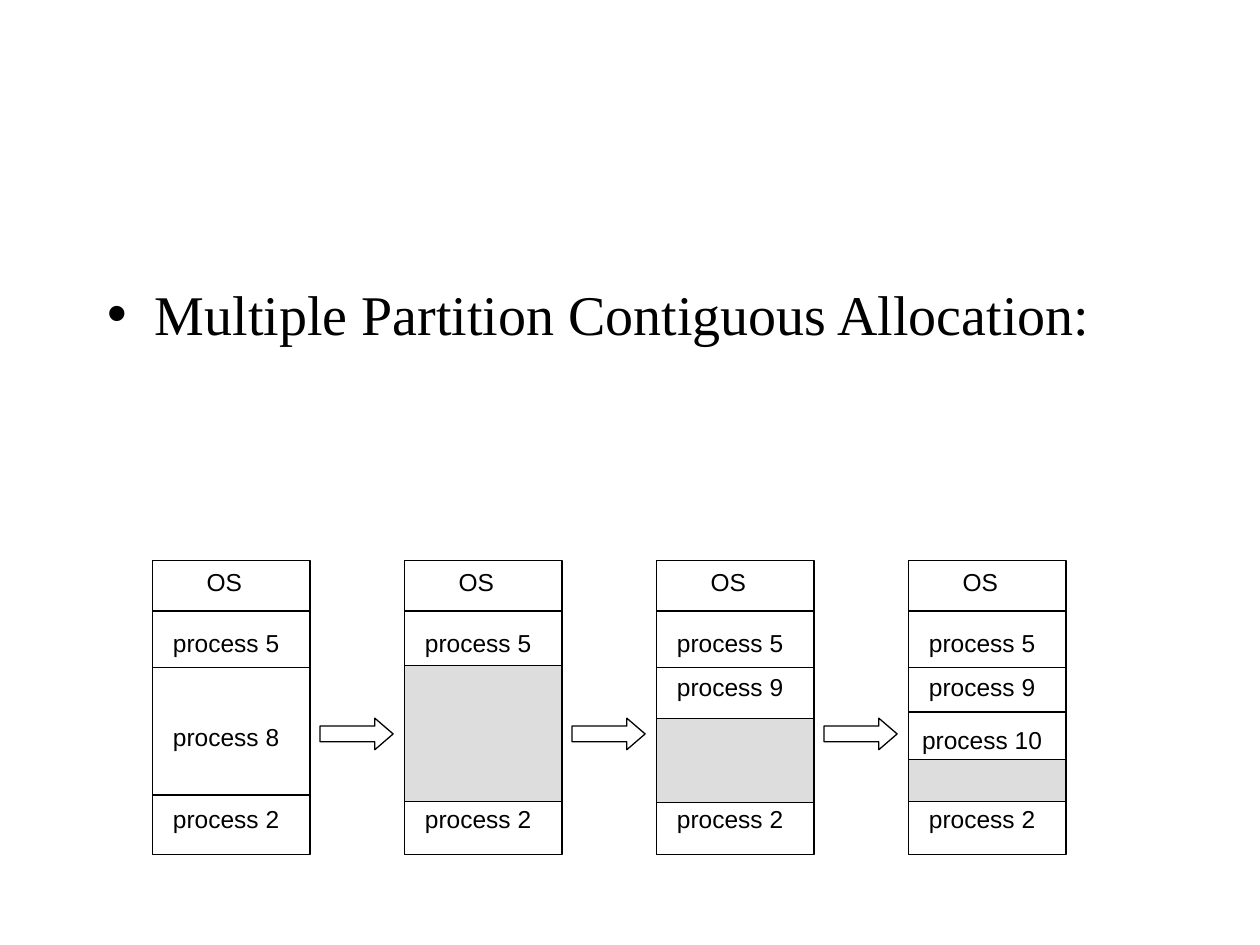
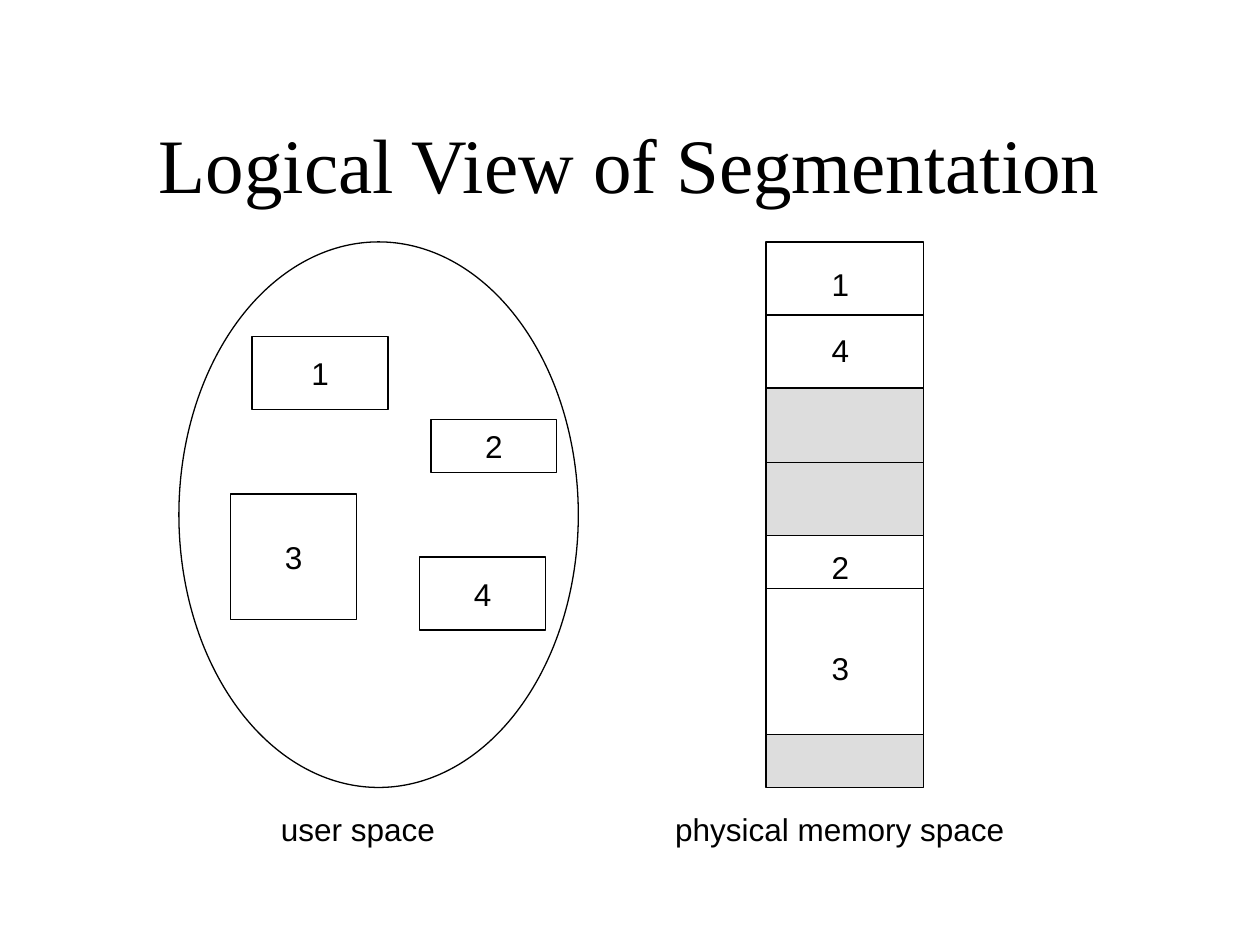
from lxml import etree
from pptx import Presentation
from pptx.dml.color import RGBColor
from pptx.enum.shapes import MSO_CONNECTOR, MSO_SHAPE
from pptx.enum.text import MSO_ANCHOR, MSO_AUTO_SIZE, PP_ALIGN
from pptx.oxml.ns import qn
from pptx.util import Inches, Pt

RECT, OVAL, ARROW = MSO_SHAPE.RECTANGLE, MSO_SHAPE.OVAL, MSO_SHAPE.RIGHT_ARROW
LINE = MSO_CONNECTOR.STRAIGHT
CENTER, MIDDLE = PP_ALIGN.CENTER, MSO_ANCHOR.MIDDLE
FIXED = MSO_AUTO_SIZE.NONE

COLORS = {"ink": "000000", "paper": "FFFFFF", "free": "DDDDDD"}
SERIF, SANS = "Times New Roman", "Arial"

HEADING = "Multiple Partition Contiguous Allocation:"
TITLE = "Logical View of Segmentation"

COL_LEFT, COL_TOP, COL_WIDE, COL_TALL, COL_STEP = 1.21, 4.45, 1.25, 2.33, 2
SHARED = [("process 5", 4.93), ("process 2", 6.33)]
STAGES = [
    {"cuts": [4.85, 5.3, 6.31], "jobs": [("process 8", 5.68)], "free": None},
    {"cuts": [4.85], "jobs": [], "free": (5.28, 1.08)},
    {"cuts": [4.85, 5.3], "jobs": [("process 9", 5.28)], "free": (5.7, 0.67)},
    {"cuts": [4.85, 5.3, 5.65],
     "jobs": [("process 9", 5.28), ("process 10", 5.7)], "free": (6.03, 0.33)},
]

PARTS = [
    ("1", 2, 2.67, 1.08, 0.58),
    ("3", 1.83, 3.92, 1, 1),
    ("2", 3.42, 3.33, 1, 0.42),
    ("4", 3.33, 4.42, 1, 0.58),
]
MEM_LEFT, MEM_TOP, MEM_WIDE = 6.08, 1.92, 1.25
BLOCKS = [("paper", 1.16), ("free", 1.17), ("paper", 1.58), ("free", 0.42)]
MEM_CUTS = [2.5, 3.67, 4.67]
MEM_TAGS = [("1", 2.05), ("4", 2.58), ("2", 4.3), ("3", 5.1)]
NAMES = [("user space", 2.13, 1.42), ("physical memory space", 5.26, 2.81)]


def paint(name):
    return RGBColor.from_string(COLORS[name])


def write(shape, text, size, face=SANS, align=CENTER):
    frame = shape.text_frame
    frame.text = text
    para = frame.paragraphs[0]
    para.alignment = align
    para.space_before = Pt(0)
    font = para.runs[0].font
    font.name, font.size = face, Pt(size)
    font.color.rgb = paint("ink")


def place(shape, *area):
    shape.left, shape.top, shape.width, shape.height = map(Inches, area)


def shape(slide, kind, area, fill="paper"):
    item = slide.shapes.add_shape(kind, *map(Inches, area))
    item.shadow.inherit = False
    item.fill.solid()
    item.fill.fore_color.rgb = paint(fill)
    item.line.color.rgb = paint("ink")
    item.line.width = Pt(0.75)
    return item


def cut(slide, left, top, wide):
    ends = map(Inches, (left, top, left + wide, top))
    item = slide.shapes.add_connector(LINE, *ends)
    item.line.color.rgb = paint("ink")
    item.line.width = Pt(0.75)
    etree.SubElement(item._element.spPr, qn("a:effectLst"))


def label(slide, text, area, size):
    box = slide.shapes.add_textbox(*map(Inches, area))
    box.text_frame.word_wrap = False
    box.text_frame.vertical_anchor = MIDDLE
    write(box, text, size)


def bullet(para):
    props = para._p.get_or_add_pPr()
    props.set("marL", str(Inches(0.38)))
    props.set("indent", str(-Inches(0.38)))
    etree.SubElement(props, qn("a:buChar")).set("char", "•")


def stage(slide, left, data):
    shape(slide, RECT, (left, COL_TOP, COL_WIDE, COL_TALL))
    for top in data["cuts"]:
        cut(slide, left, top, COL_WIDE)
    if data["free"]:
        top, tall = data["free"]
        shape(slide, RECT, (left, top, COL_WIDE, tall), "free")
    label(slide, "OS", (left + 0.33, COL_TOP, 0.48, 0.34), 14)
    for text, top in SHARED + data["jobs"]:
        label(slide, text, (left, top, 1.17, 0.34), 14)


def partition(deck):
    slide = deck.slides.add_slide(deck.slide_layouts[1])
    head = slide.shapes.title._element
    head.getparent().remove(head)
    body = slide.placeholders[1]
    place(body, 0.75, 2.17, 8.5, 4.5)
    body.text_frame.auto_size = FIXED
    write(body, HEADING, 32, SERIF, PP_ALIGN.LEFT)
    bullet(body.text_frame.paragraphs[0])
    for i, data in enumerate(STAGES):
        left = COL_LEFT + i * COL_STEP
        stage(slide, left, data)
        if i:
            arrow = shape(slide, ARROW, (left - 0.67, 5.7, 0.58, 0.25))
            arrow.adjustments[1] = 0.58


def segment(deck):
    slide = deck.slides.add_slide(deck.slide_layouts[5])
    title = slide.shapes.title
    place(title, 0.75, 0.67, 8.5, 1.25)
    title.text_frame.auto_size = FIXED
    title.text_frame.vertical_anchor = MIDDLE
    write(title, TITLE, 44, SERIF)
    shape(slide, OVAL, (1.42, 1.92, 3.17, 4.33))
    for text, *area in PARTS:
        part = shape(slide, RECT, area)
        part.text_frame.word_wrap = False
        part.text_frame.vertical_anchor = MIDDLE
        write(part, text, 18)
    top = MEM_TOP
    for fill, tall in BLOCKS:
        shape(slide, RECT, (MEM_LEFT, top, MEM_WIDE, tall), fill)
        top += tall
    for top in MEM_CUTS:
        cut(slide, MEM_LEFT, top, MEM_WIDE)
    for text, top in MEM_TAGS:
        label(slide, text, (6.5, top, 0.34, 0.4), 18)
    for text, left, wide in NAMES:
        label(slide, text, (left, 6.38, wide, 0.4), 18)


def main():
    deck = Presentation()
    deck.slide_width, deck.slide_height = Inches(10), Inches(7.5)
    partition(deck)
    segment(deck)
    deck.save("out.pptx")


if __name__ == "__main__":
    main()
